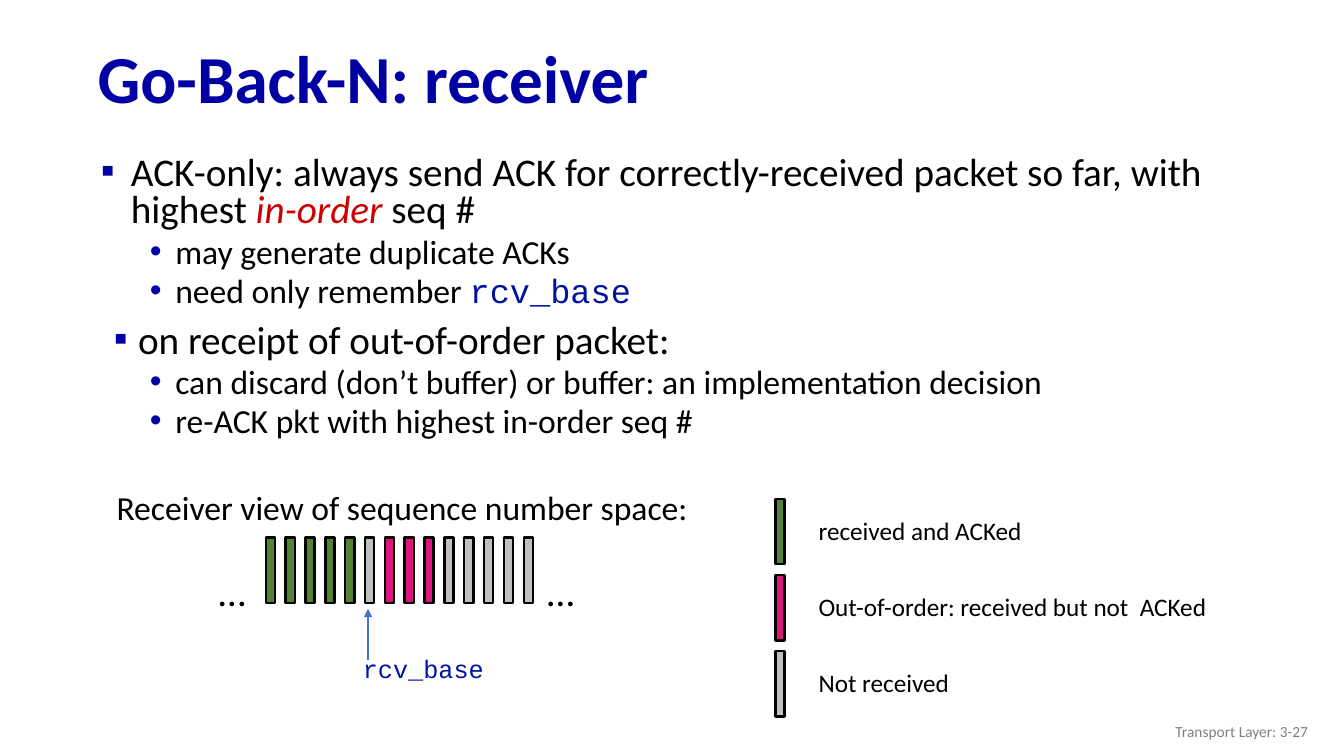
from dataclasses import dataclass

from lxml import etree
from pptx import Presentation
from pptx.dml.color import RGBColor
from pptx.enum.shapes import MSO_CONNECTOR, MSO_SHAPE
from pptx.enum.text import MSO_ANCHOR, PP_ALIGN
from pptx.oxml.ns import qn
from pptx.util import Cm, Pt

STRAIGHT = MSO_CONNECTOR.STRAIGHT
RECTANGLE = MSO_SHAPE.RECTANGLE
TOP, MIDDLE = MSO_ANCHOR.TOP, MSO_ANCHOR.MIDDLE
LEFT, RIGHT = PP_ALIGN.LEFT, PP_ALIGN.RIGHT


@dataclass(frozen=True)
class Theme:
    sans: str = "Calibri"
    mono: str = "Courier New"
    title: str = "0000A3"
    bullet: str = "0000A8"
    code: str = "0013A3"
    accent: str = "CC0000"
    ink: str = "000000"
    muted: str = "808080"
    arrow: str = "4472C4"
    acked: str = "548235"
    out_of_order: str = "DF167A"
    missing: str = "BFBFBF"
    title_size: int = 48
    point_size: int = 28
    detail_size: int = 24
    label_size: int = 18
    footer_size: int = 11
    outline: float = 1.75


THEME = Theme()
CODE = {"name": THEME.mono, "color": THEME.code}
ACCENT = {"color": THEME.accent, "italic": True}
BAR_WIDTH, BAR_HEIGHT, BAR_PITCH = 0.23, 1.65, 0.5

POINT = {"level": 0, "size": THEME.point_size, "before": 10, "mark": "▪",
         "mark_color": THEME.title, "margin": 0.81, "hang": 0.76}
LATER_POINT = {**POINT, "margin": 0.99, "hang": 0.61}
DETAIL = {"level": 1, "size": THEME.detail_size, "before": 5, "mark": "•",
          "mark_color": THEME.bullet, "margin": 1.93, "hang": 0.64}
BODY = [
    (POINT, [("ACK-only: always send ACK for correctly-received packet so far, with highest ", {}),
             ("in-order", ACCENT), (" seq #", {})]),
    (DETAIL, [("may generate duplicate ACKs", {})]),
    (DETAIL, [("need only remember ", {}), ("rcv_base", CODE)]),
    (LATER_POINT, [("on receipt of out-of-order packet:", {})]),
    (DETAIL, [("can discard (don’t buffer) or buffer: an implementation decision", {})]),
    (DETAIL, [("re-ACK pkt with highest in-order seq #", {})]),
]
LEGEND = [
    (THEME.acked, "received and ACKed"),
    (THEME.out_of_order, "Out-of-order: received but not  ACKed"),
    (THEME.missing, "Not received"),
]
PACKETS = ([THEME.acked] * 5 + [THEME.missing]
           + [THEME.out_of_order] * 3 + [THEME.missing] * 5)
BASE_INDEX = 5


def add_span(para, text, size, **changes):
    style = {"name": THEME.sans, "color": THEME.ink, "size": Pt(size), **changes}
    span = para.add_run()
    span.text = text
    span.font.color.rgb = RGBColor.from_string(style.pop("color"))
    for key, value in style.items():
        setattr(span.font, key, value)


def add_frame(page, box, anchor=TOP, wrap=True):
    frame = page.shapes.add_textbox(*map(Cm, box)).text_frame
    frame.word_wrap = wrap
    frame.vertical_anchor = anchor
    return frame


def add_label(page, box, text, size, anchor=TOP, wrap=False, align=LEFT, spacing=1.0, **style):
    para = add_frame(page, box, anchor, wrap).paragraphs[0]
    para.alignment = align
    para.line_spacing = spacing
    add_span(para, text, size, **style)


def add_bullet(para, layout):
    properties = para._p.get_or_add_pPr()
    properties.set("marL", str(Cm(layout["margin"])))
    properties.set("indent", str(-Cm(layout["hang"])))
    color = etree.SubElement(properties, qn("a:buClr"))
    etree.SubElement(color, qn("a:srgbClr"), val=layout["mark_color"])
    etree.SubElement(properties, qn("a:buFont"), typeface="Arial")
    etree.SubElement(properties, qn("a:buChar"), char=layout["mark"])


def add_bar(page, left, top, color):
    bar = page.shapes.add_shape(RECTANGLE, *map(Cm, (left, top, BAR_WIDTH, BAR_HEIGHT)))
    bar.shadow.inherit = False
    bar.fill.solid()
    bar.fill.fore_color.rgb = RGBColor.from_string(color)
    bar.line.color.rgb = RGBColor.from_string(THEME.ink)
    bar.line.width = Pt(THEME.outline)


def add_arrow(page, start, end):
    arrow = page.shapes.add_connector(STRAIGHT, *map(Cm, start + end))
    arrow.line.color.rgb = RGBColor.from_string(THEME.arrow)
    arrow.line.width = Pt(THEME.outline)
    etree.SubElement(arrow.line._get_or_add_ln(), qn("a:tailEnd"), type="triangle")
    etree.SubElement(arrow._element.spPr, qn("a:effectLst"))


def draw_body(page, box):
    frame = add_frame(page, box)
    for index, (layout, spans) in enumerate(BODY):
        para = frame.add_paragraph() if index else frame.paragraphs[0]
        para.level = layout["level"]
        para.line_spacing = 0.8
        para.space_before = Pt(layout["before"])
        add_bullet(para, layout)
        for text, style in spans:
            add_span(para, text, layout["size"], **style)


def draw_sequence_space(page, box):
    left, top, width, height = box
    add_label(page, (left, top, width, 1.27), "Receiver view of sequence number space:",
              THEME.detail_size)
    first, bars_top = left + 4.01, top + 1.4
    for index, color in enumerate(PACKETS):
        add_bar(page, first + index * BAR_PITCH, bars_top, color)
    for offset in (2.57, 10.85):
        add_label(page, (left + offset, top + 2.03, 1.19, 1.45), "…", THEME.point_size)
    base = first + BASE_INDEX * BAR_PITCH + BAR_WIDTH / 2 - 0.04
    bottom = top + height
    add_label(page, (base - 0.38, bottom - 1.02, 3.58, 1.02), "rcv_base",
              THEME.label_size, **CODE)
    add_arrow(page, (base, bottom - 0.71), (base, bars_top + BAR_HEIGHT + 0.15))


def draw_legend(page, box):
    left, top, width, height = box
    pitch = (height - BAR_HEIGHT) / (len(LEGEND) - 1)
    for index, (color, text) in enumerate(LEGEND):
        row = top + index * pitch
        add_bar(page, left, row, color)
        add_label(page, (left + 0.84, row + 0.28, width - 0.84, 1.02), text, THEME.label_size)


def draw_receiver_slide(page):
    add_label(page, (2.21, 0.81, 30.84, 2.49), "Go-Back-N: receiver", THEME.title_size,
              MIDDLE, True, spacing=0.9, color=THEME.title, bold=True)
    draw_body(page, (2.24, 3.81, 28.65, 7.92))
    draw_sequence_space(page, (2.69, 12.14, 15.06, 5.21))
    draw_legend(page, (19.54, 12.57, 11.27, 5.49))
    add_label(page, (25.6, 17.91, 7.62, 1.02), "Transport Layer: 3-27", THEME.footer_size,
              MIDDLE, True, RIGHT, color=THEME.muted)


def main():
    deck = Presentation()
    deck.slide_width, deck.slide_height = Cm(33.87), Cm(19.05)
    draw_receiver_slide(deck.slides.add_slide(deck.slide_layouts[6]))
    deck.save("out.pptx")


if __name__ == "__main__":
    main()
